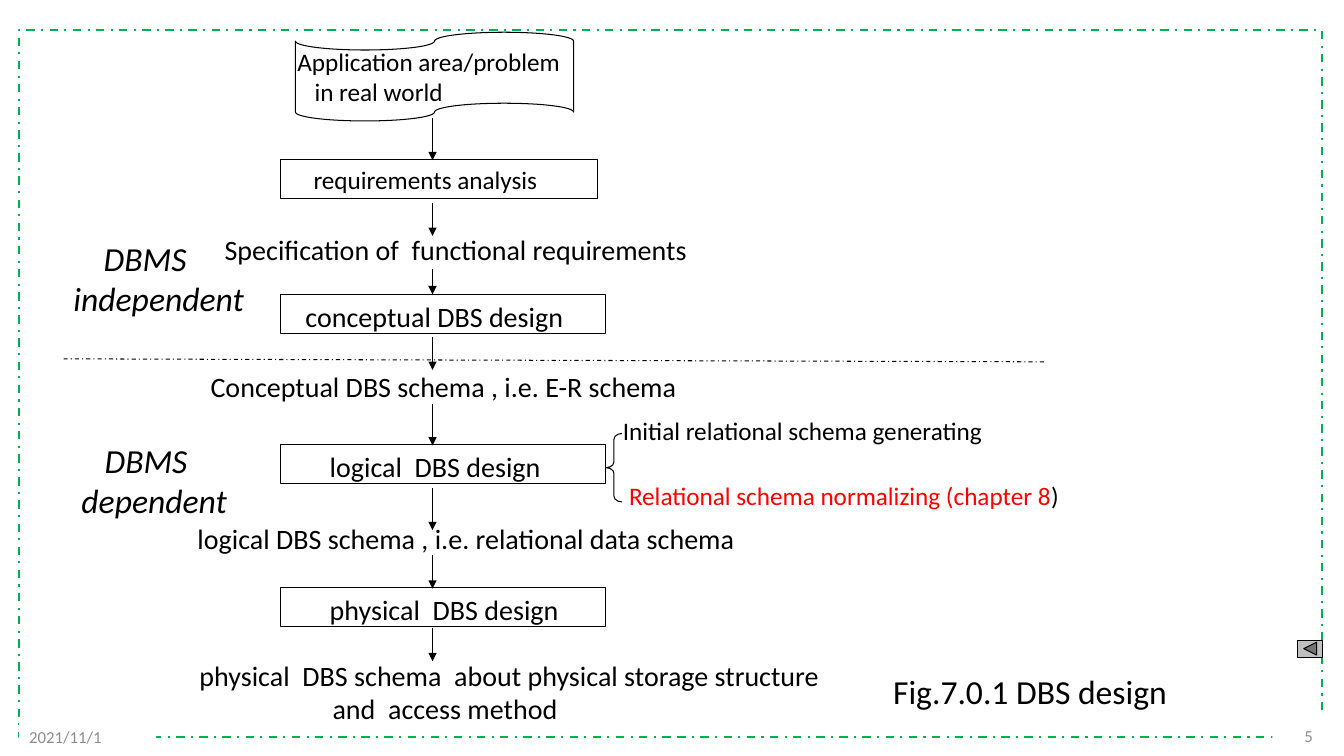
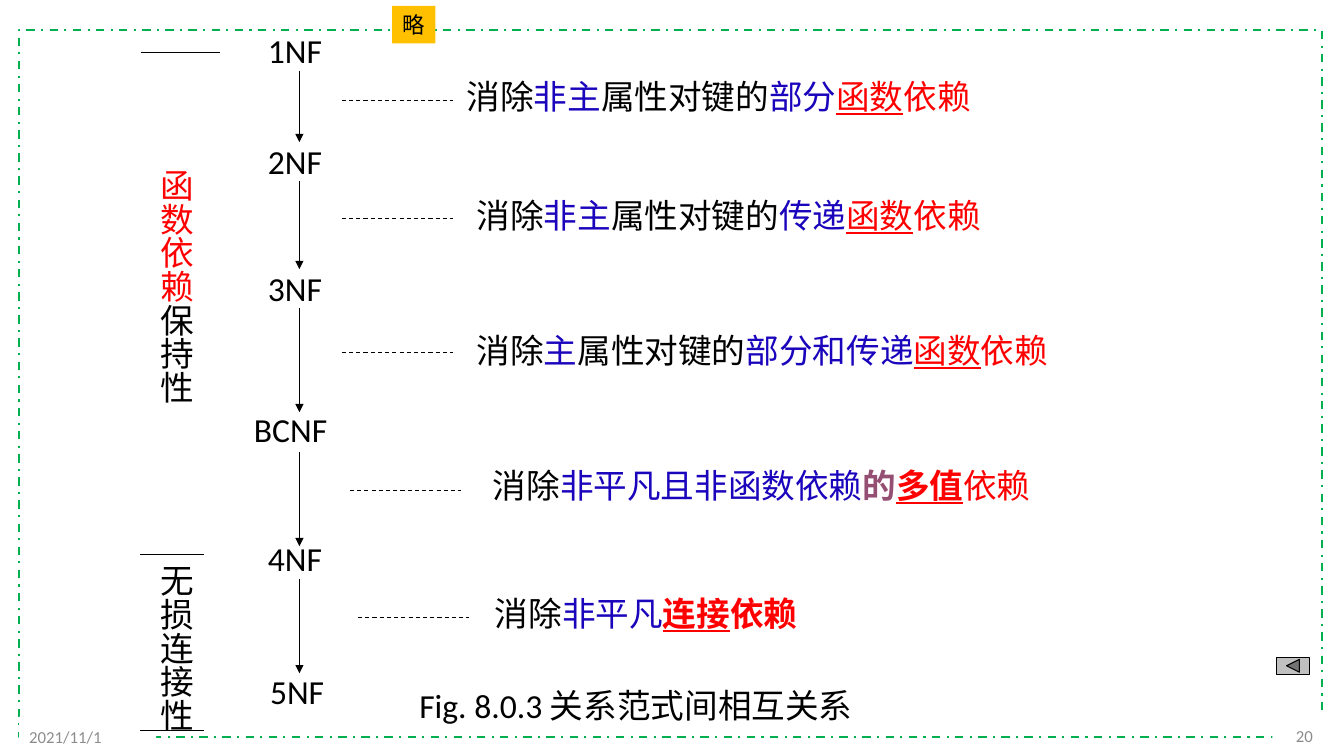
from pptx import Presentation
from pptx.dml.color import RGBColor
from pptx.enum.dml import MSO_LINE as Dash
from pptx.enum.shapes import MSO_CONNECTOR, MSO_SHAPE as Shape
from pptx.enum.text import MSO_ANCHOR as Anchor, PP_ALIGN as Align
from pptx.oxml.ns import qn
from pptx.util import Inches, Pt
from lxml.etree import SubElement

WIDTH, HEIGHT = 13.33, 7.5
FONT = "Calibri"
COLORS = {"ink": "000000", "frame": "00B050", "muted": "8C8C8C", "paper": "FFFFFF",
          "button": "C0C0C0", "tag": "FFC000", "red": "FF0000", "blue": "1A04BC",
          "plum": "954F72"}
# Run styles: colour, bold, underline
STYLES = {"ink": ("ink", False, False), "blue": ("blue", False, False),
          "red": ("red", False, False), "red_u": ("red", False, True),
          "red_b": ("red", True, False), "red_bu": ("red", True, True),
          "plum_b": ("plum", True, False)}
DATE = "2021/11/1"

# Slide 1: database design flow
FLOW_X, STAGE_X, STAGE_HEIGHT = 4.29, 2.78, 0.39
SOURCE = ["Application area/problem", "in real world"]
STAGES = [  # text, top, width, left inset, size
    ("requirements analysis", 1.58, 3.15, 0.33, 18),
    ("conceptual DBS design", 2.92, 3.23, 0.25, 20),
    ("logical  DBS design", 4.41, 3.23, 0.49, 20),
    ("physical  DBS design", 5.83, 3.23, 0.49, 20),
]
FLOW_LABELS = [  # lines, place, format
    (["Specification of  functional requirements"], (2.13, 2.26, 4.84, 0.44), {}),
    (["Conceptual DBS schema , i.e. E-R schema"], (1.99, 3.62, 4.94, 0.43), {}),
    (["logical DBS schema , i.e. relational data schema"], (1.86, 5.12, 5.62, 0.43), {}),
    (["physical  DBS schema  about physical storage structure", "and  access method"],
     (1.88, 6.48, 6.42, 0.77), {"indents": (0, 1.32)}),
    (["DBMS", "independent"], (0.63, 2.31, 1.91, 0.91),
     {"size": 24, "italic": True, "indents": (0.3, 0)}),
    (["DBMS", "dependent"], (0.71, 4.31, 1.66, 0.91),
     {"size": 24, "italic": True, "indents": (0.23, 0)}),
    (["Initial relational schema generating"], (6.08, 4.07, 3.88, 0.4), {"size": 18}),
    ([[("Relational schema normalizing (chapter 8", "red"), (")", "ink")]],
     (6.14, 4.72, 4.52, 0.4), {"size": 18}),
    (["Fig.7.0.1 DBS design"], (8.76, 6.61, 2.94, 0.5), {"size": 24}),
]
FLOW_ARROWS = [(1.17, 1.59), (2.01, 2.34), (2.67, 2.92), (3.34, 3.67), (4.01, 4.42),
               (4.84, 5.26), (5.51, 5.84), (6.23, 6.56)]

# Slide 2: normal forms
FORM_X, DASH_LENGTH, LINE_HEIGHT = 2.97, 1.1, 0.5
FORMS = [("1NF", 2.56, 0.25, 0.76), ("2NF", 2.56, 1.35, 0.74), ("3NF", 2.56, 2.61, 0.74),
         ("BCNF", 2.42, 4.01, 0.93), ("4NF", 2.56, 5.29, 0.74), ("5NF", 2.58, 6.61, 0.74)]
FORM_ARROWS = [(0.7, 1.41), (1.8, 2.67), (3.06, 4.09), (4.48, 5.42), (5.74, 6.68)]
STEPS = [  # runs, text left, text top, text width, dash left, dash height on slide
    ([("消除", "ink"), ("非主", "blue"), ("属性对键的", "ink"), ("部分", "blue"),
      ("函数", "red_u"), ("依赖", "red")], 4.53, 0.7, 5.21, 3.39, 1.0),
    ([("消除", "ink"), ("非主", "blue"), ("属性对键的", "ink"), ("传递", "blue"),
      ("函数", "red_u"), ("依赖", "red")], 4.63, 1.88, 5.21, 3.39, 2.17),
    ([("消除", "ink"), ("主", "blue"), ("属性对键的", "ink"), ("部分和传递", "blue"),
      ("函数", "red_u"), ("依赖", "red")], 4.63, 3.22, 5.88, 3.39, 3.5),
    ([("消除", "ink"), ("非平凡且非函数依赖", "blue"), ("的", "plum_b"),
      ("多值", "red_bu"), ("依赖", "red")], 4.79, 4.56, 5.56, 3.47, 4.87),
    ([("消除", "ink"), ("非平凡", "blue"), ("连接", "red_bu"), ("依赖", "red_b")],
     4.81, 5.83, 3.21, 3.55, 6.13),
]
RANGE_LINES = [(1.4, 2.18, 0.52), (1.39, 2.02, 5.5), (1.39, 2.02, 7.25)]
PROPERTIES = [  # runs, place, wrap
    ([("函数依赖", "red"), ("保持性", "ink")], (1.39, 1.58, 0.61, 3.67), True),
    ([("无损连接性", "ink")], (1.39, 5.5, 0.61, 1.78), False),
]


def rgb(name):
    return RGBColor.from_string(COLORS[name])


def write(shape, lines, size=20, color="ink", italic=False, align=Align.LEFT,
          anchor=Anchor.TOP, wrap=False, vertical=False, indents=(), insets=None):
    """Fill a shape with lines; each line is a string or a list of (text, style)."""
    frame = shape.text_frame
    frame.word_wrap = wrap
    frame.vertical_anchor = anchor
    if insets:
        frame.margin_left, frame.margin_right = map(Inches, insets)
    if vertical:
        frame._txBody.bodyPr.set("vert", "eaVert")
    for i, line in enumerate(lines):
        paragraph = frame.add_paragraph() if i else frame.paragraphs[0]
        paragraph.alignment = align
        if indents:
            paragraph._p.get_or_add_pPr().set("marL", str(Inches(indents[i])))
        for text, style in [(line, None)] if isinstance(line, str) else line:
            tint, bold, underline = STYLES[style] if style else (color, False, False)
            run = paragraph.add_run()
            run.text = text
            font = run.font
            font.name, font.size, font.italic = FONT, Pt(size), italic
            font.bold, font.underline = bold, underline
            font.color.rgb = rgb(tint)


def add_label(slide, lines, place, **text_format):
    write(slide.shapes.add_textbox(*map(Inches, place)), lines, **text_format)


def add_block(slide, kind, place, fill=None, line=None, weight=0.75, dash=None):
    block = slide.shapes.add_shape(kind, *map(Inches, place))
    block.shadow.inherit = False
    if fill:
        block.fill.solid()
        block.fill.fore_color.rgb = rgb(fill)
    else:
        block.fill.background()
    if line:
        block.line.color.rgb = rgb(line)
        block.line.width = Pt(weight)
        if dash:
            block.line.dash_style = dash
    else:
        block.line.fill.background()
    return block


def add_line(slide, start, end, dash=None, arrow=False):
    link = slide.shapes.add_connector(MSO_CONNECTOR.STRAIGHT, *map(Inches, start + end))
    link.line.color.rgb = rgb("ink")
    link.line.width = Pt(0.75)
    if dash:
        link.line.dash_style = dash
    if arrow:
        SubElement(link.line._get_or_add_ln(), qn("a:tailEnd"), type="triangle")
    SubElement(link._element.spPr, qn("a:effectLst"))


def add_arrows(slide, x, spans):
    for top, bottom in spans:
        add_line(slide, (x, top), (x, bottom), arrow=True)


def start_slide(deck, number, button_place):
    """Add a slide with the frame, date, page number and back button."""
    slide = deck.slides.add_slide(deck.slide_layouts[6])
    add_block(slide, Shape.RECTANGLE, (0.19, 0.3, 12.92, 7.01), line="frame",
              weight=1.5, dash=Dash.DASH_DOT)
    for text, place, align in [(number, (12.62, 7.1, 0.5, 0.4), Align.RIGHT),
                               (DATE, (0.19, 7.11, 1.36, 0.4), Align.LEFT)]:
        write(add_block(slide, Shape.RECTANGLE, place, fill="paper"), [text], size=12,
              color="muted", align=align, anchor=Anchor.MIDDLE, wrap=True)
    add_block(slide, Shape.ACTION_BUTTON_BACK_OR_PREVIOUS, button_place,
              fill="button", line="ink")
    return slide


def build_design_flow(deck):
    slide = start_slide(deck, "5", (12.87, 6.35, 0.25, 0.17))
    tape = add_block(slide, Shape.FLOWCHART_PUNCHED_TAPE, (2.93, 0.32, 2.76, 0.88),
                     line="ink")
    write(tape, SOURCE, size=18, anchor=Anchor.MIDDLE, wrap=True,
          indents=(0, 0.17), insets=(0.02, 0))
    for text, top, width, inset, size in STAGES:
        stage = add_block(slide, Shape.RECTANGLE, (STAGE_X, top, width, STAGE_HEIGHT),
                          line="ink")
        write(stage, [text], size=size, wrap=True, insets=(inset, 0))
    for lines, place, text_format in FLOW_LABELS:
        add_label(slide, lines, place, **text_format)
    add_line(slide, (0.63, 3.56), (10.38, 3.59), dash=Dash.DASH_DOT)
    brace = add_block(slide, Shape.LEFT_BRACE, (6.01, 4.3, 0.16, 0.68), line="ink")
    brace.adjustments[0] = 0.36
    add_arrows(slide, FLOW_X, FLOW_ARROWS)


def build_normal_forms(deck):
    slide = start_slide(deck, "20", (12.66, 6.52, 0.33, 0.17))
    for name, left, top, width in FORMS:
        add_label(slide, [name], (left, top, width, LINE_HEIGHT), size=24)
    add_arrows(slide, FORM_X, FORM_ARROWS)
    for runs, left, top, width, dash_left, dash_y in STEPS:
        add_line(slide, (dash_left, dash_y), (dash_left + DASH_LENGTH, dash_y),
                 dash=Dash.DASH)
        add_label(slide, [runs], (left, top, width, LINE_HEIGHT), size=24)
    for left, right, y in RANGE_LINES:
        add_line(slide, (left, y), (right, y))
    for runs, place, wrap in PROPERTIES:
        add_label(slide, [runs], place, size=24, vertical=True, wrap=wrap)
    add_label(slide, ["Fig. 8.0.3 关系范式间相互关系"], (4.06, 6.75, 4.68, LINE_HEIGHT),
              size=24)
    tag = add_block(slide, Shape.RECTANGLE, (3.89, 0.06, 0.43, 0.37), fill="tag")
    write(tag, ["略"], size=16)


def main():
    deck = Presentation()
    deck.slide_width, deck.slide_height = Inches(WIDTH), Inches(HEIGHT)
    build_design_flow(deck)
    build_normal_forms(deck)
    deck.save("out.pptx")


if __name__ == "__main__":
    main()
